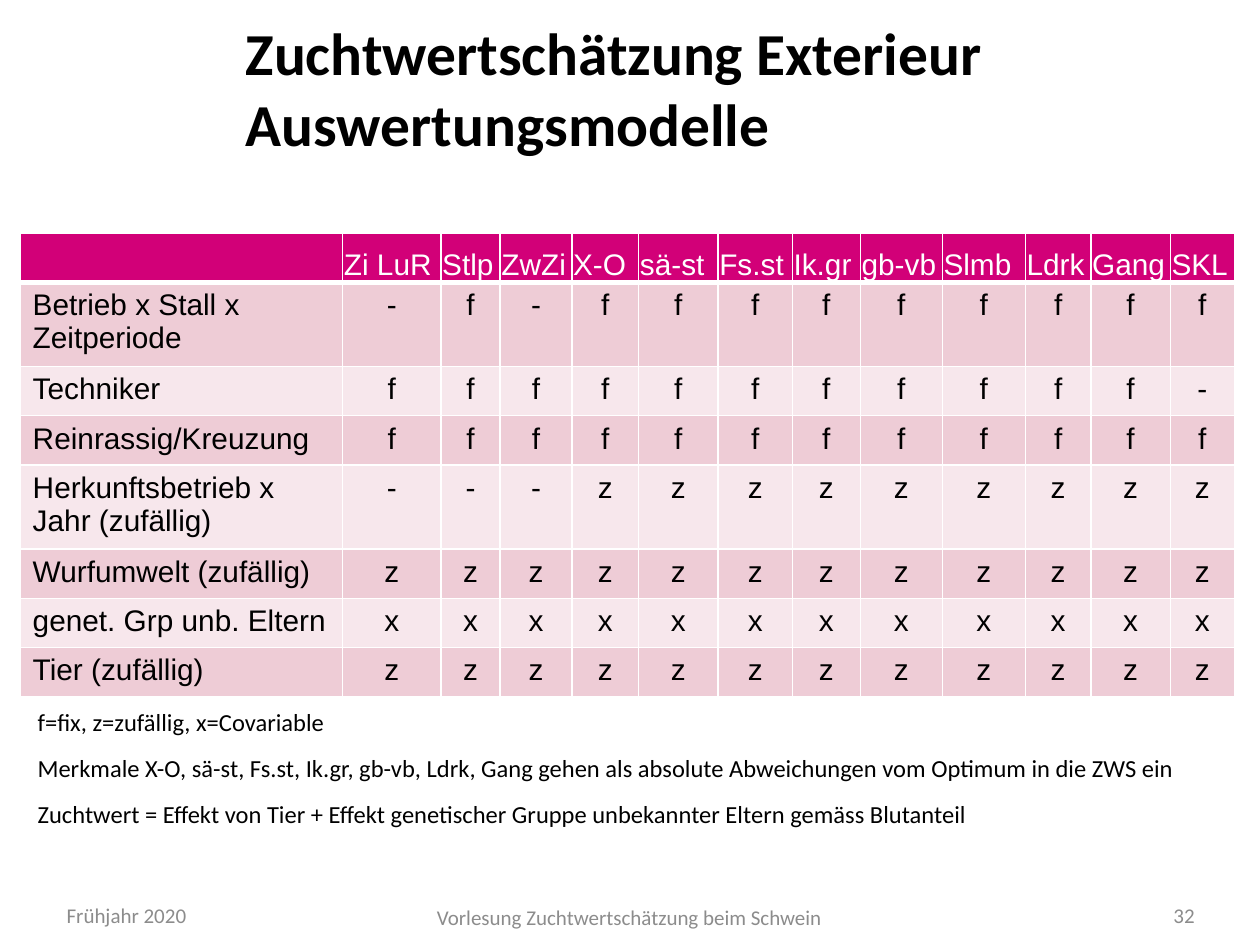
from dataclasses import dataclass

from lxml.etree import SubElement
from pptx import Presentation
from pptx.dml.color import RGBColor
from pptx.enum.text import MSO_ANCHOR, MSO_AUTO_SIZE, PP_ALIGN
from pptx.oxml.ns import qn
from pptx.util import Inches, Pt

COLORS = {
    "black": "000000",
    "white": "FFFFFF",
    "gray": "8C8C8C",
    "header": "D20078",
    "dark_band": "EECCD6",
    "light_band": "F7E7EC",
}
TITLE_FONT = {"name": "Calibri", "size": Pt(34), "bold": True}
FOOTER_FONT = {"name": "Calibri", "size": Pt(12)}
NOTE_FONT = {"name": "Calibri", "size": Pt(14)}
TABLE_FONT = {"name": "Arial", "size": Pt(17), "bold": False}
HEADER_MARGINS = {
    "margin_left": Inches(0.01), "margin_right": Inches(0.01),
    "margin_top": Inches(0.01), "margin_bottom": 0,
}
BODY_MARGINS = {
    "margin_left": Inches(0.1), "margin_right": Inches(0.1),
    "margin_top": Inches(0.05), "margin_bottom": Inches(0.05),
}

TRAITS = ["Zi LuR", "Stlp", "ZwZi", "X-O", "sä-st", "Fs.st",
          "Ik.gr", "gb-vb", "Slmb", "Ldrk", "Gang", "SKL"]
COLUMN_WIDTHS = [2.56, 0.78, 0.47, 0.57, 0.53, 0.63, 0.59,
                 0.54, 0.65, 0.66, 0.52, 0.63, 0.51]
HEADER_HEIGHT = 0.39
NOTES = [
    "f=fix, z=zufällig, x=Covariable",
    "Merkmale X-O, sä-st, Fs.st, Ik.gr, gb-vb, Ldrk, Gang gehen als "
    "absolute Abweichungen vom Optimum in die ZWS ein",
    "Zuchtwert = Effekt von Tier + Effekt genetischer Gruppe "
    "unbekannter Eltern gemäss Blutanteil",
]


@dataclass
class Effect:
    label: str
    codes: str
    height: float = 0.39


@dataclass
class TextBox:
    lines: list[str]
    left: float
    top: float
    width: float
    height: float
    font: dict
    color: str
    align: PP_ALIGN = PP_ALIGN.LEFT
    anchor: MSO_ANCHOR = MSO_ANCHOR.MIDDLE
    wrap: bool = True
    gap: float = 0


EFFECTS = [
    Effect("Betrieb x Stall x Zeitperiode", "-f-fffffffff", 0.67),
    Effect("Techniker", "fffffffffff-"),
    Effect("Reinrassig/Kreuzung", "f" * 12),
    Effect("Herkunftsbetrieb x Jahr (zufällig)", "---zzzzzzzzz", 0.67),
    Effect("Wurfumwelt (zufällig)", "z" * 12),
    Effect("genet. Grp unb. Eltern", "x" * 12),
    Effect("Tier (zufällig)", "z" * 12),
]
TEXT_BOXES = [
    TextBox(["Vorlesung Zuchtwertschätzung beim Schwein"], 1.65, 7.08, 6.69, 0.4,
            FOOTER_FONT, "gray", PP_ALIGN.CENTER),
    TextBox(["Frühjahr 2020"], 0.43, 7.06, 1.18, 0.4, FOOTER_FONT, "gray"),
    TextBox(["32"], 8.86, 7.06, 0.72, 0.4, FOOTER_FONT, "gray", PP_ALIGN.RIGHT),
    TextBox(NOTES, 0.2, 5.56, 9.31, 1.08, NOTE_FONT, "black",
            anchor=MSO_ANCHOR.TOP, wrap=False, gap=9.5),
]


def apply_format(target, values: dict) -> None:
    for name, value in values.items():
        setattr(target, name, value)


def write(paragraph, text: str, font: dict, color: str, align: PP_ALIGN) -> None:
    paragraph.text = text
    paragraph.alignment = align
    for run in paragraph.runs:
        apply_format(run.font, font)
        run.font.color.rgb = RGBColor.from_string(COLORS[color])


def add_title(slide, text: str) -> None:
    title = slide.shapes.title
    apply_format(title, {"left": Inches(1.85), "top": 0,
                         "width": Inches(7.09), "height": Inches(1.38)})
    apply_format(title.text_frame, {"auto_size": MSO_AUTO_SIZE.NONE,
                                    "vertical_anchor": MSO_ANCHOR.MIDDLE})
    write(title.text_frame.paragraphs[0], text, TITLE_FONT, "black", PP_ALIGN.LEFT)


def add_text_box(slide, box: TextBox) -> None:
    shape = slide.shapes.add_textbox(Inches(box.left), Inches(box.top),
                                     Inches(box.width), Inches(box.height))
    frame = shape.text_frame
    apply_format(frame, {"word_wrap": box.wrap, "vertical_anchor": box.anchor})
    for index, line in enumerate(box.lines):
        paragraph = frame.add_paragraph() if index else frame.paragraphs[0]
        write(paragraph, line, box.font, box.color, box.align)
        if index:
            paragraph.space_before = Pt(box.gap)


def add_borders(cell, top: float, bottom: float) -> None:
    properties = cell._tc.get_or_add_tcPr()
    for side, width in {"L": 1, "R": 1, "T": top, "B": bottom}.items():
        line = SubElement(properties, qn(f"a:ln{side}"), w=str(Pt(width)))
        fill = SubElement(line, qn("a:solidFill"))
        SubElement(fill, qn("a:srgbClr"), val=COLORS["white"])


def fill_cell(cell, text: str, row: int, column: int) -> None:
    header = row == 0
    add_borders(cell, 3 if row == 1 else 1, 3 if header else 1)
    band = "header" if header else "dark_band" if row % 2 else "light_band"
    cell.fill.solid()
    cell.fill.fore_color.rgb = RGBColor.from_string(COLORS[band])
    apply_format(cell, HEADER_MARGINS if header else BODY_MARGINS)
    cell.vertical_anchor = MSO_ANCHOR.BOTTOM if header else MSO_ANCHOR.TOP
    align = PP_ALIGN.LEFT if header or column == 0 else PP_ALIGN.CENTER
    write(cell.text_frame.paragraphs[0], text, TABLE_FONT,
          "white" if header else "black", align)


def add_effect_table(slide) -> None:
    rows = [["", *TRAITS]] + [[effect.label, *effect.codes] for effect in EFFECTS]
    heights = [HEADER_HEIGHT] + [effect.height for effect in EFFECTS]
    table = slide.shapes.add_table(
        len(rows), len(COLUMN_WIDTHS), Inches(0.16), Inches(1.85),
        Inches(sum(COLUMN_WIDTHS)), Inches(sum(heights))).table
    for column, width in zip(table.columns, COLUMN_WIDTHS):
        column.width = Inches(width)
    for row, height in zip(table.rows, heights):
        row.height = Inches(height)
    for row, texts in enumerate(rows):
        for column, text in enumerate(texts):
            fill_cell(table.cell(row, column), text, row, column)


def main() -> None:
    presentation = Presentation()
    presentation.slide_width = Inches(10)
    presentation.slide_height = Inches(7.5)
    slide = presentation.slides.add_slide(presentation.slide_layouts[5])
    add_title(slide, "Zuchtwertschätzung Exterieur\vAuswertungsmodelle")
    add_effect_table(slide)
    for box in TEXT_BOXES:
        add_text_box(slide, box)
    presentation.save("out.pptx")


if __name__ == "__main__":
    main()
